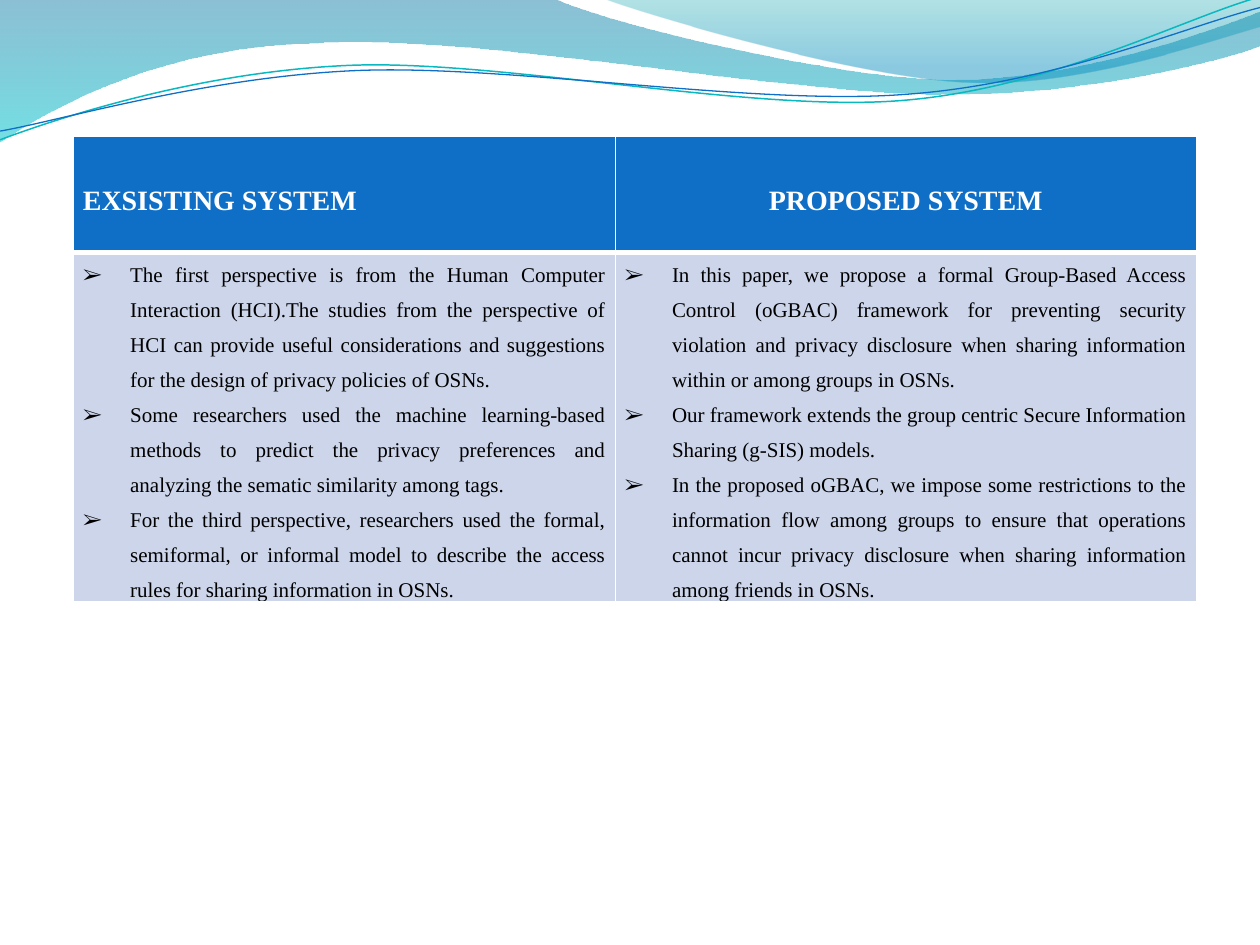
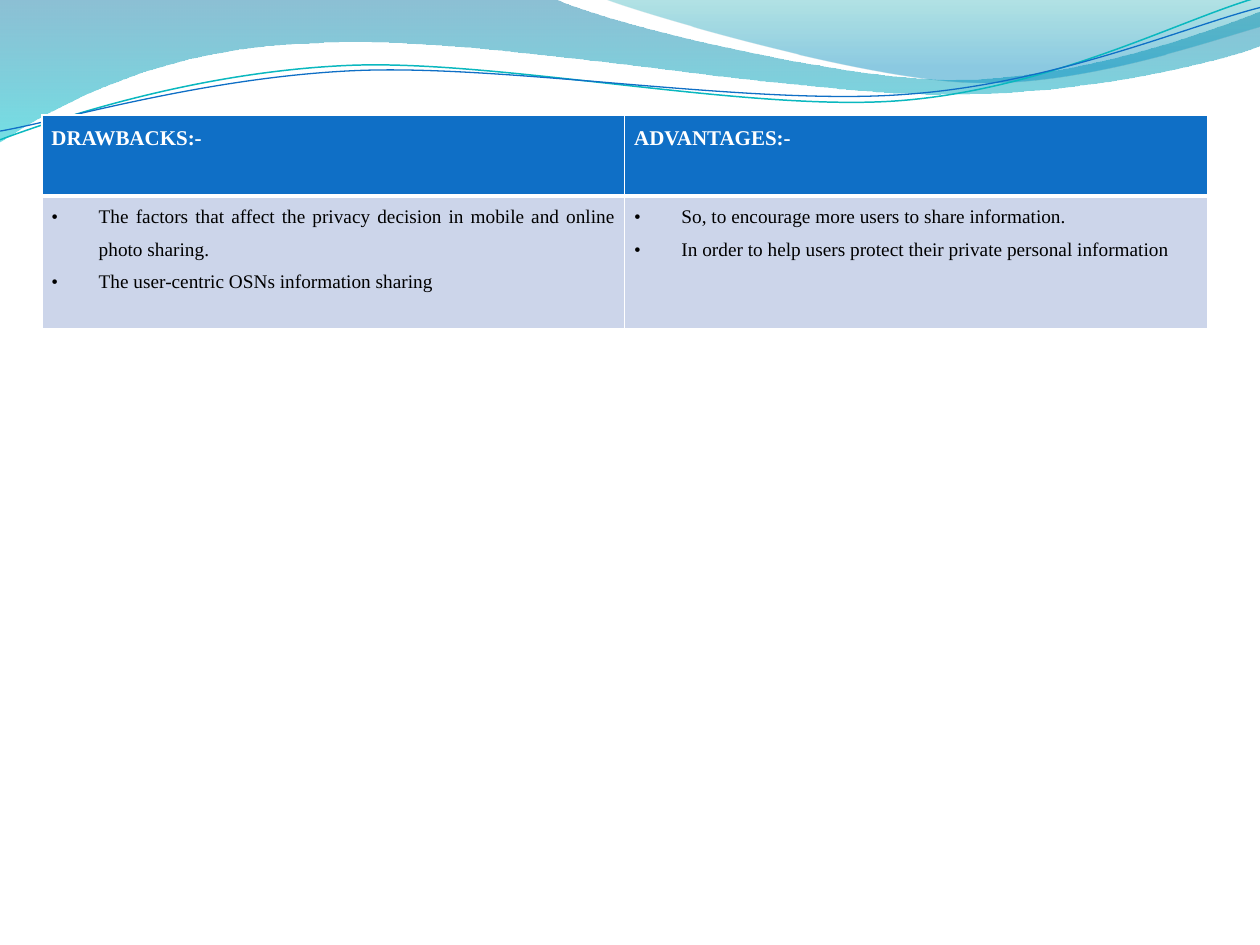
from lxml.etree import SubElement
from pptx import Presentation
from pptx.dml.color import RGBColor
from pptx.enum.text import PP_ALIGN
from pptx.oxml.ns import qn
from pptx.util import Pt

FONT = "Times New Roman"
COLORS = {
    "white": "FFFFFF", "ink": "000000", "header": "0F6FC6", "body": "CCD5EA",
    "teal_line": "0AB8BF", "blue_line": "0F6FC6",
    "deep_blue": "0074A1", "aqua": "00C6CF", "sea": "00A1A9", "sky": "008BBF",
}

# Outlines in points: a pair is a line end, six numbers are a cubic curve
WIDE_WAVE = [
    (0, 0), (316.8, -0.7),
    (342.7, 12.2, 478.1, 45.4, 545.8, 45.4),
    (614.2, 45.4, 689.8, 18.7, 720, 6.5), (720.7, 25.9),
    (707.8, 31.7, 626.4, 54.7, 537.1, 54),
    (447.8, 54, 275, 20.2, 185, 24.5),
    (92.9, 25.9, 33.1, 59.8, -0.7, 81.4),
]
RIGHT_WAVE = [
    (344.9, -0.7),
    (366.5, 7.9, 491, 44.6, 553.7, 46.8),
    (616.3, 49.7, 691.9, 23, 720, 15.1), (720, 0),
]
TEAL_CURVE = [
    (0, 79.9),
    (34.6, 67, 113.8, 41, 199.4, 37.4),
    (284.4, 33.8, 427, 64.1, 513.4, 57.6),
    (599.8, 51.1, 675.4, 10.8, 718.6, -1.4),
]
BLUE_CURVE = [
    (0, 74.9),
    (33.8, 69.1, 118.1, 43.9, 203.8, 40.3),
    (290.2, 36.7, 429.8, 60.5, 516.2, 54),
    (601.9, 48.2, 677.5, 15.1, 720, 4.3),
]

COMPARISON = {
    "box": (42, 78), "columns": (309.6, 332), "rows": (66.2, 199),
    "header_size": 16, "header_top": 25.5, "header_spacing": 1.15,
    "body_size": 12, "bullet": "➢",
    "headers": [("EXSISTING SYSTEM", PP_ALIGN.LEFT),
                ("PROPOSED SYSTEM", PP_ALIGN.CENTER)],
    "points": [
        ["The first perspective is from the Human Computer Interaction (HCI).The "
         "studies from the perspective of HCI can provide useful considerations and "
         "suggestions for the design of privacy policies of OSNs.",
         "Some researchers used the machine learning-based methods to predict the "
         "privacy preferences and analyzing the sematic similarity among tags.",
         "For the third perspective, researchers used the formal, semiformal, or "
         "informal model to describe the access rules for sharing information in OSNs."],
        ["In this paper, we propose a formal Group-Based Access Control (oGBAC) "
         "framework for preventing security violation and privacy disclosure when "
         "sharing information within or among groups in OSNs.",
         "Our framework extends the group centric Secure Information Sharing "
         "(g-SIS) models.",
         "In the proposed oGBAC, we impose some restrictions to the information flow "
         "among groups to ensure that operations cannot incur privacy disclosure when "
         "sharing information among friends in OSNs."],
    ],
}
EVALUATION = {
    "box": (24, 65.8), "columns": (333, 333), "rows": (46.2, 75.7),
    "header_size": 12, "header_top": 0, "header_spacing": 1.5,
    "body_size": 11, "bullet": "•",
    "headers": [("DRAWBACKS:-", PP_ALIGN.JUSTIFY), ("ADVANTAGES:-", PP_ALIGN.JUSTIFY)],
    "points": [
        ["The factors that affect the privacy decision in mobile and online photo "
         "sharing.",
         "The user-centric OSNs information sharing"],
        ["So, to encourage more users to share information.",
         "In order to help users protect their private personal information"],
    ],
}


def color(name):
    return RGBColor.from_string(COLORS[name])


def add_outline(page, outline, close):
    """Freeform through the end points, then bend its curved segments."""
    ends = [(Pt(part[-2]), Pt(part[-1])) for part in outline]
    builder = page.shapes.build_freeform(*ends[0], scale=1.0)
    builder.add_line_segments(ends[1:], close=close)
    shape = builder.convert_to_shape()
    shape.shadow.inherit = False
    segments = list(shape.element.iter(qn("a:lnTo")))
    for segment, part in zip(segments, outline[1:]):
        if len(part) == 6:
            bend = segment.makeelement(qn("a:cubicBezTo"))
            for x, y in zip(part[::2], part[1::2]):
                SubElement(bend, qn("a:pt"), x=str(Pt(x) - shape.left),
                           y=str(Pt(y) - shape.top))
            segment.getparent().replace(segment, bend)
    return shape


def add_wave(page, outline, stops):
    """Filled wave; each stop is (position, color name, opacity in percent)."""
    wave = add_outline(page, outline, close=True)
    wave.fill.gradient()
    wave.fill.gradient_angle = 270
    for stop, (position, name, opacity) in zip(wave.fill.gradient_stops, stops):
        stop.position = position
        stop.color.rgb = color(name)
    for tint, (position, name, opacity) in zip(wave.element.iter(qn("a:srgbClr")), stops):
        SubElement(tint, qn("a:alpha"), val=str(opacity * 1000))
    wave.line.fill.background()


def add_curve(page, outline, name, width):
    curve = add_outline(page, outline, close=False)
    curve.fill.background()
    curve.line.color.rgb = color(name)
    curve.line.width = Pt(width)


def add_wave_band(page):
    add_wave(page, WIDE_WAVE, [(0, "deep_blue", 45), (1, "aqua", 55)])
    add_wave(page, RIGHT_WAVE, [(0, "sea", 30), (0.8, "sky", 45)])
    add_curve(page, TEAL_CURVE, "teal_line", 0.85)
    add_curve(page, BLUE_CURVE, "blue_line", 0.75)


def style_cell(cell, fill, top, bottom):
    """White borders, flat fill and narrow insets."""
    properties = cell._tc.get_or_add_tcPr()
    for side, width in (("L", 1), ("R", 1), ("T", top), ("B", bottom)):
        border = SubElement(properties, qn(f"a:ln{side}"), w=str(Pt(width)))
        paint = SubElement(border, qn("a:solidFill"))
        SubElement(paint, qn("a:srgbClr"), val=COLORS["white"])
    cell.fill.solid()
    cell.fill.fore_color.rgb = color(fill)
    cell.margin_left = cell.margin_right = Pt(5.4)
    cell.margin_top = cell.margin_bottom = 0


def write_para(para, text, size, ink, align, spacing, bold=False, bullet=None):
    para.alignment = align
    para.line_spacing = spacing
    if bullet:
        properties = para._p.get_or_add_pPr()
        properties.set("marL", str(Pt(27)))
        properties.set("indent", str(-Pt(27)))
        SubElement(properties, qn("a:buFont"), typeface=FONT)
        SubElement(properties, qn("a:buChar"), char=bullet)
    span = para.add_run()
    span.text = text
    span.font.name = FONT
    span.font.size = Pt(size)
    span.font.bold = bold
    span.font.color.rgb = color(ink)


def add_two_column_table(page, content):
    left, top = content["box"]
    columns, rows = content["columns"], content["rows"]
    table = page.shapes.add_table(2, 2, Pt(left), Pt(top),
                                  Pt(sum(columns)), Pt(sum(rows))).table
    for row, height in zip(table.rows, rows):
        row.height = Pt(height)
    for index, width in enumerate(columns):
        table.columns[index].width = Pt(width)

        # Header cell
        header = table.cell(0, index)
        style_cell(header, "header", top=1, bottom=3)
        header.margin_top = Pt(content["header_top"])
        text, align = content["headers"][index]
        write_para(header.text_frame.paragraphs[0], text, content["header_size"],
                   "white", align, content["header_spacing"], bold=True)

        # Bulleted cell
        body = table.cell(1, index)
        style_cell(body, "body", top=3, bottom=1)
        frame = body.text_frame
        for number, point in enumerate(content["points"][index]):
            para = frame.add_paragraph() if number else frame.paragraphs[0]
            write_para(para, point, content["body_size"], "ink", PP_ALIGN.JUSTIFY,
                       1.5, bullet=content["bullet"])


def main():
    deck = Presentation()
    deck.slide_width, deck.slide_height = Pt(720), Pt(540)
    for content in (COMPARISON, EVALUATION):
        page = deck.slides.add_slide(deck.slide_layouts[6])
        add_wave_band(page)
        add_two_column_table(page, content)
    deck.save("out.pptx")


if __name__ == "__main__":
    main()
